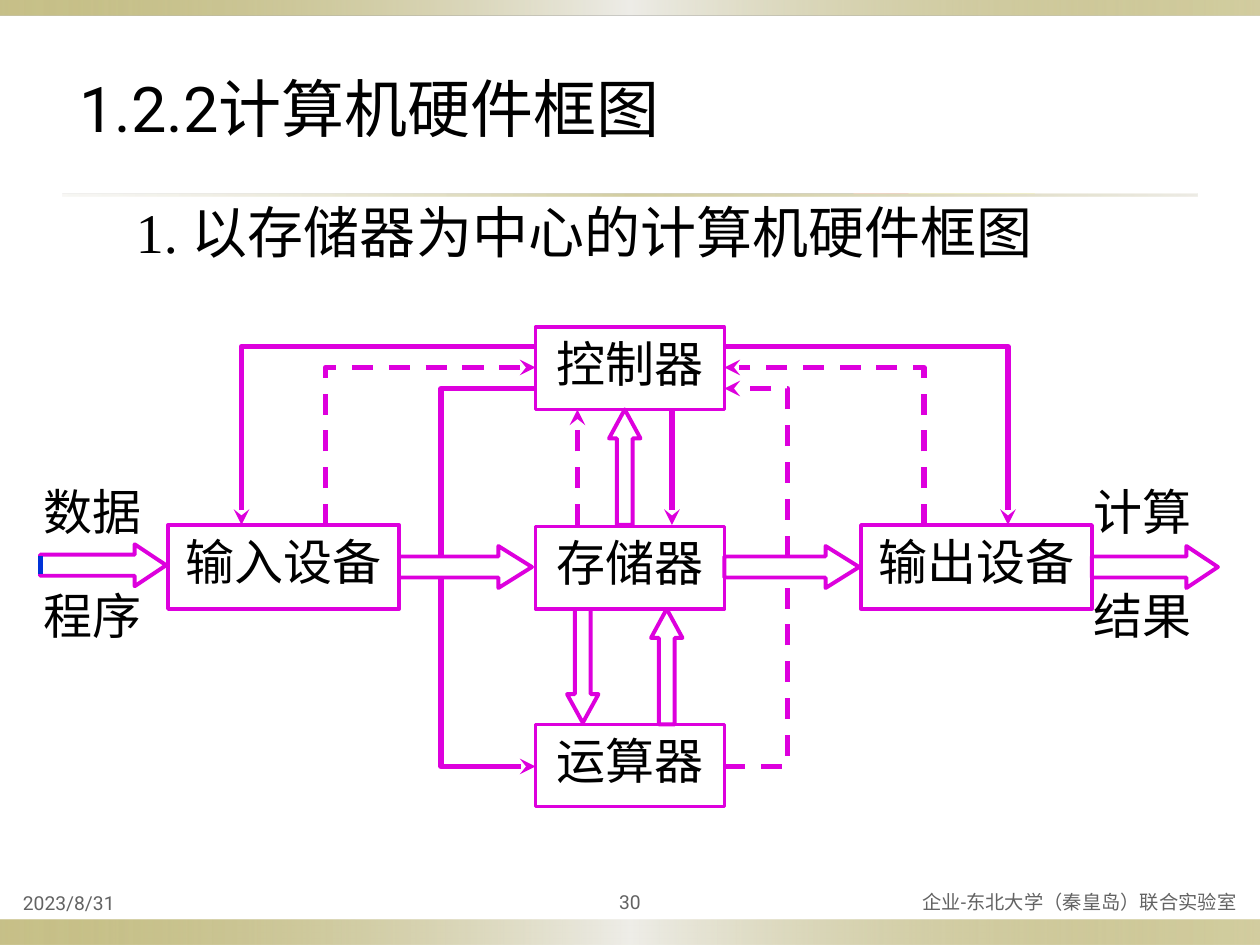
"""Build the slide showing the memory-centred computer hardware diagram."""
from dataclasses import dataclass

from lxml.etree import SubElement
from pptx import Presentation
from pptx.dml.color import RGBColor
from pptx.enum.dml import MSO_LINE
from pptx.enum.shapes import MSO_CONNECTOR, MSO_SHAPE
from pptx.enum.text import MSO_ANCHOR, PP_ALIGN
from pptx.oxml import parse_xml
from pptx.oxml.ns import nsdecls, qn
from pptx.util import Pt


@dataclass(frozen=True)
class Theme:
    ink: str = "000000"
    muted: str = "636363"
    wire: str = "DD00DD"
    blue: str = "0033D8"
    gold: str = "918415"
    pale: str = "EEEDE8"
    sand: str = "DCD9CC"
    font: str = "Roboto"
    serif: str = "Times New Roman"
    title: int = 36
    heading: int = 32
    label: int = 28
    footer: int = 11
    box_line: float = 2
    arrow_line: float = 2.25
    wire_line: float = 3


T = Theme()


@dataclass(frozen=True)
class Band:
    x: float
    y: float
    w: float
    h: float
    stops: tuple


@dataclass(frozen=True)
class Text:
    text: str
    x: float
    y: float
    w: float
    h: float
    size: int = T.label
    font: str = T.font
    color: str = T.ink
    align: PP_ALIGN = PP_ALIGN.LEFT
    anchor: MSO_ANCHOR = MSO_ANCHOR.TOP
    wrap: bool = True


@dataclass(frozen=True)
class Unit:
    text: str
    x: float
    y: float
    w: float
    h: float
    line: float = T.box_line


@dataclass(frozen=True)
class BlockArrow:
    x: float
    y: float
    w: float
    h: float
    head: float
    kind: MSO_SHAPE = MSO_SHAPE.RIGHT_ARROW
    rotation: float = 0


@dataclass(frozen=True)
class Wire:
    points: tuple
    dashed: bool = False
    arrow: bool = True
    color: str = T.wire


BAR = ((0, T.gold, 50), (50, T.pale, 100), (100, T.gold, 40))
RULE = ((0, T.sand, 20), (50, T.gold, 40), (100, T.sand, 50))
BANDS = (
    Band(0, 525.6, 720, 14.4, BAR),
    Band(0, 0, 720, 8.64, BAR),
    Band(36, 110.9, 648, 1.44, RULE),
)
UNITS = (
    Unit("存储器", 306, 301, 108, 47),
    Unit("输出设备", 492, 300, 132, 48),
    Unit("输入设备", 96, 300, 132, 48, T.arrow_line),
    Unit("运算器", 306, 414, 108, 47),
    Unit("控制器", 306, 187, 108, 47),
)
UP = MSO_SHAPE.UP_ARROW
ARROWS = (
    BlockArrow(23, 311, 72, 24, 0.75),
    BlockArrow(228, 312, 76, 24, 0.8),
    BlockArrow(414, 312, 77, 24, 0.8),
    BlockArrow(624, 312, 72, 24, 0.75),
    BlockArrow(348, 234, 18, 66, 0.92, UP),
    BlockArrow(372, 348, 18, 66, 0.92, UP),
    BlockArrow(324, 348, 18, 65, 0.91, UP, 180),
)
WIRES = (
    Wire(((252, 318), (252, 222), (306, 222)), arrow=False),
    Wire(((330, 300), (330, 234)), dashed=True),
    Wire(((384, 234), (384, 300))),
    Wire(((252, 330), (252, 438), (306, 438))),
    Wire(((414, 438), (450, 438), (450, 330)), dashed=True, arrow=False),
    Wire(((450, 318), (450, 222), (414, 222)), dashed=True),
    Wire(((186, 300), (186, 210), (306, 210)), dashed=True),
    Wire(((306, 198), (138, 198), (138, 300))),
    Wire(((528, 300), (528, 210), (414, 210)), dashed=True),
    Wire(((414, 198), (576, 198), (576, 300))),
    Wire(((23, 318), (23, 328)), arrow=False, color=T.blue),
)
LABELS = tuple(
    Text(text, x, y, 70.56, 41, wrap=False)
    for text, x, y in (("数据", 18, 271.4), ("程序", 18, 331.2),
                       ("计算", 618, 271.4), ("结果", 618, 331.2))
)
HEADINGS = (
    Text("1.2.2计算机硬件框图", 38.2, 36, 507.6, 50.4, T.title),
    Text("1. 以存储器为中心的计算机硬件框图", 70.6, 109.4, 528.5, 45.4, T.heading, T.serif),
)
FOOTERS = (
    Text("2023/8/31", 6, 504, 252, 22.3, T.footer, color=T.muted, anchor=MSO_ANCHOR.BOTTOM),
    Text("企业-东北大学（秦皇岛）联合实验室", 420, 504, 293.8, 22.3, T.footer,
         color=T.muted, align=PP_ALIGN.RIGHT, anchor=MSO_ANCHOR.MIDDLE),
    Text("30", 324, 504, 72, 22.3, T.footer,
         color=T.muted, align=PP_ALIGN.CENTER, anchor=MSO_ANCHOR.MIDDLE),
)


def write(sp, text: str, size: int, font: str, color: str, align: PP_ALIGN) -> None:
    tf = sp.text_frame
    tf.text = text
    p = tf.paragraphs[0]
    p.alignment = align
    r = p.runs[0]
    r.font.size, r.font.name = Pt(size), font
    r.font.color.rgb = RGBColor.from_string(color)


def stroke(sp, color: str, width: float) -> None:
    sp.line.color.rgb = RGBColor.from_string(color)
    sp.line.width = Pt(width)


def add_preset(s, kind: MSO_SHAPE, item):
    sp = s.shapes.add_shape(kind, Pt(item.x), Pt(item.y), Pt(item.w), Pt(item.h))
    sp.shadow.inherit = False
    sp.fill.background()
    return sp


def add_band(s, band: Band) -> None:
    sp = add_preset(s, MSO_SHAPE.RECTANGLE, band)
    sp.line.fill.background()
    stops = "".join(
        f'<a:gs pos="{pos * 1000}"><a:srgbClr val="{color}">'
        f'<a:alpha val="{alpha * 1000}"/></a:srgbClr></a:gs>'
        for pos, color, alpha in band.stops
    )
    grad = parse_xml(f'<a:gradFill {nsdecls("a")}><a:gsLst>{stops}</a:gsLst>'
                     '<a:lin ang="0" scaled="0"/></a:gradFill>')
    props = sp._element.spPr
    props.replace(props.find(qn("a:noFill")), grad)


def add_text(s, item: Text) -> None:
    sp = s.shapes.add_textbox(Pt(item.x), Pt(item.y), Pt(item.w), Pt(item.h))
    sp.text_frame.word_wrap = item.wrap
    sp.text_frame.vertical_anchor = item.anchor
    write(sp, item.text, item.size, item.font, item.color, item.align)


def add_unit(s, unit: Unit) -> None:
    sp = add_preset(s, MSO_SHAPE.RECTANGLE, unit)
    stroke(sp, T.wire, unit.line)
    sp.text_frame.vertical_anchor = MSO_ANCHOR.TOP
    write(sp, unit.text, T.label, T.font, T.ink, PP_ALIGN.CENTER)


def add_arrow(s, arrow: BlockArrow) -> None:
    sp = add_preset(s, arrow.kind, arrow)
    sp.adjustments[0], sp.adjustments[1] = 0.5, arrow.head
    sp.rotation = arrow.rotation
    stroke(sp, T.wire, T.arrow_line)


def add_wire(s, wire: Wire) -> None:
    start, *rest = wire.points
    if len(rest) == 1:
        ends = [Pt(v) for v in (*start, *rest[0])]
        sp = s.shapes.add_connector(MSO_CONNECTOR.STRAIGHT, *ends)
    else:
        builder = s.shapes.build_freeform(*start, scale=Pt(1))
        builder.add_line_segments(rest, close=False)
        sp = builder.convert_to_shape()
        sp.fill.background()
    stroke(sp, wire.color, T.wire_line)
    if wire.dashed:
        sp.line.dash_style = MSO_LINE.DASH
    if wire.arrow:
        SubElement(sp.line._get_or_add_ln(), qn("a:tailEnd"), type="stealth")
    SubElement(sp._element.spPr, qn("a:effectLst"))


def main() -> None:
    prs = Presentation()
    prs.slide_width, prs.slide_height = Pt(720), Pt(540)
    s = prs.slides.add_slide(prs.slide_layouts[6])
    for draw, items in ((add_band, BANDS), (add_text, HEADINGS), (add_unit, UNITS),
                        (add_arrow, ARROWS), (add_wire, WIRES), (add_text, LABELS + FOOTERS)):
        for item in items:
            draw(s, item)
    prs.save("out.pptx")


if __name__ == "__main__":
    main()
